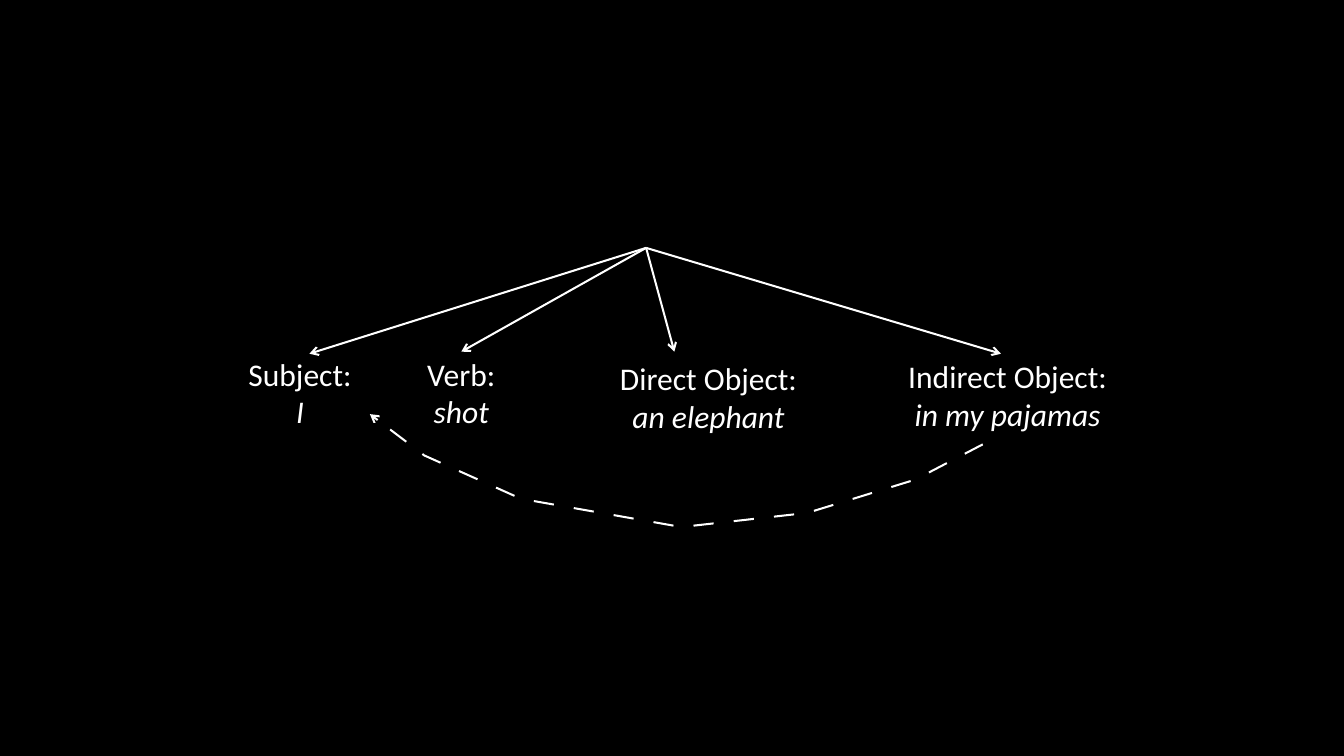
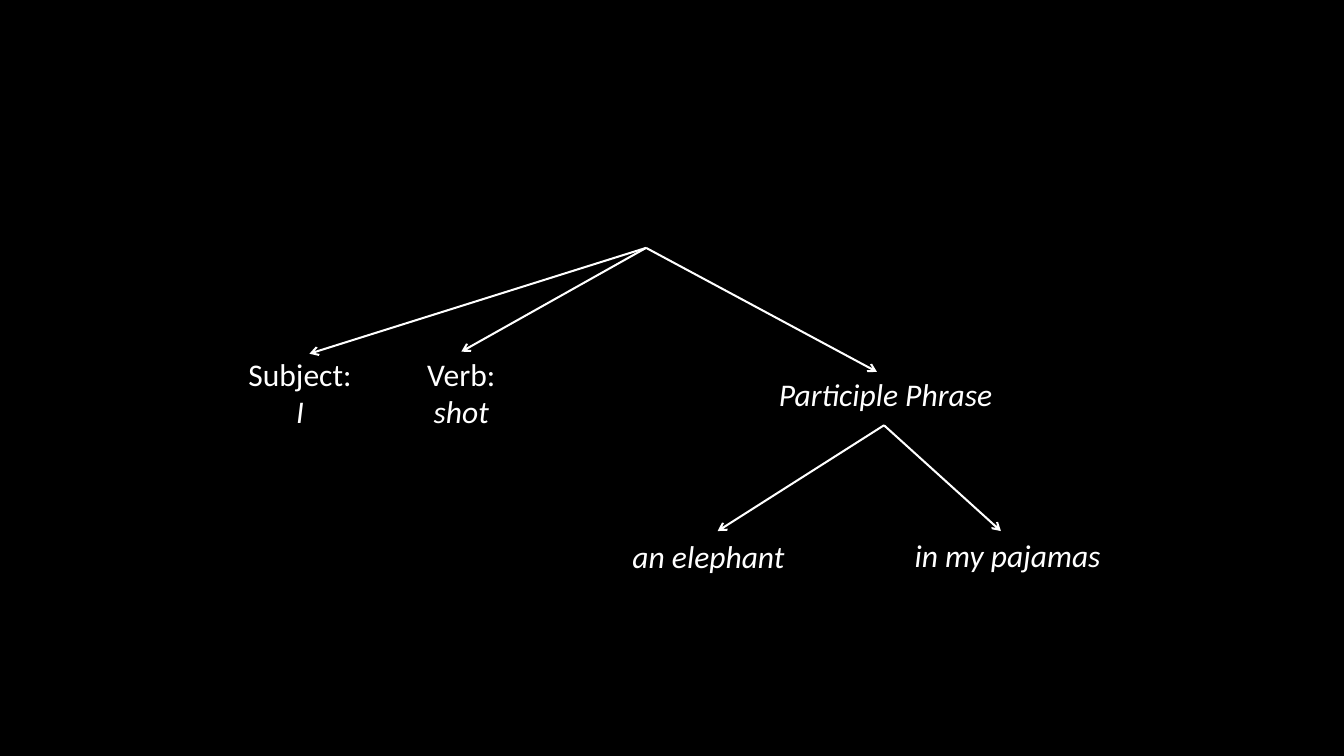
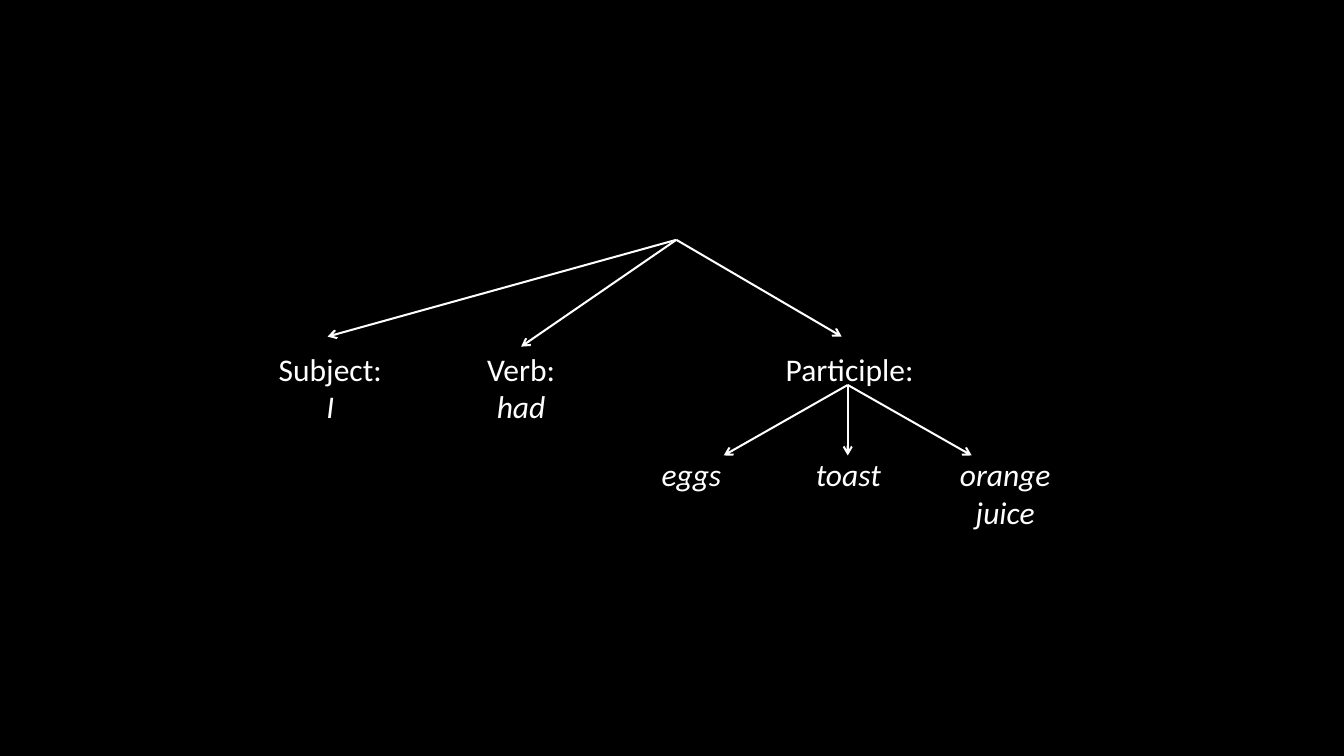
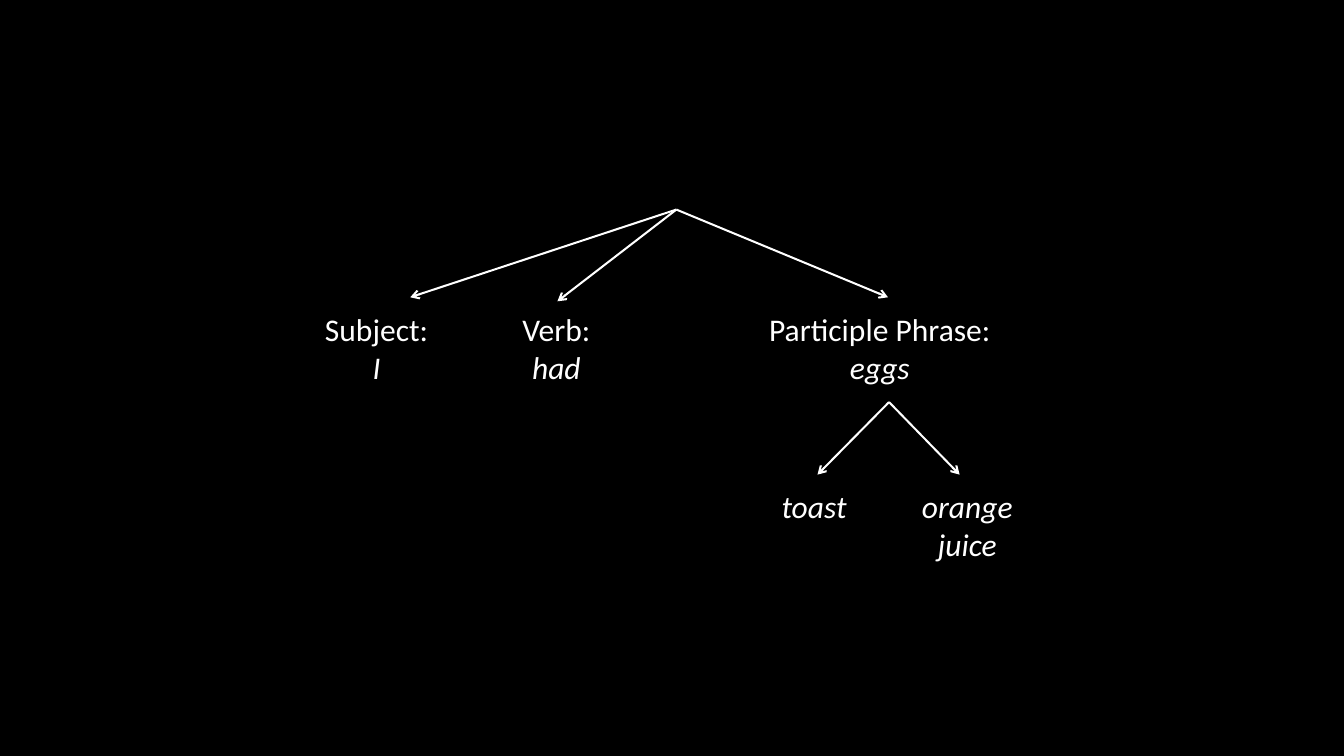
from pptx import Presentation
from pptx.dml.color import RGBColor
from pptx.enum.shapes import MSO_CONNECTOR
from pptx.enum.text import MSO_ANCHOR, PP_ALIGN
from pptx.oxml.ns import qn
from pptx.util import Inches, Pt
from lxml.etree import SubElement

BLACK = RGBColor(0x00, 0x00, 0x00)
WHITE = RGBColor(0xFF, 0xFF, 0xFF)
FONT = "Calibri"
TOP_SIDE = 0

# Page and shared background
deck = Presentation()
deck.slide_width, deck.slide_height = Inches(13.33), Inches(7.5)
background = deck.slide_master.background.fill
background.solid()
background.fore_color.rgb = BLACK
CELL = deck.slide_width / 40  # square grid: 40 columns, 22.5 rows


def add_label(shapes, text, *, centre, top, width, size=22.5, color=WHITE):
    """Add centred lines; those ending in a colon are upright, others italic."""
    lines = text.split("\n")
    height = 1.26 + 0.6 * len(lines)
    box = shapes.add_textbox(*(round(v * CELL) for v in (centre - width / 2, top, width, height)))
    frame = box.text_frame
    frame.word_wrap = True
    frame.vertical_anchor = MSO_ANCHOR.TOP
    frame.margin_left = frame.margin_right = Inches(0.07)
    frame.margin_top = frame.margin_bottom = Inches(0.03)
    for number, line in enumerate(lines):
        paragraph = frame.paragraphs[0] if number == 0 else frame.add_paragraph()
        paragraph.alignment = PP_ALIGN.CENTER
        run = paragraph.add_run()
        run.text = line
        run.font.name, run.font.size = FONT, Pt(size)
        run.font.italic = not line.endswith(":")
        run.font.color.rgb = color
    return box


def style_arrow(arrow, dashed=False):
    """Give a white line with an open arrowhead and no shadow."""
    arrow.line.color.rgb = WHITE
    arrow.line.width = Pt(1.45)
    outline = arrow.line._get_or_add_ln()
    if dashed:
        dashes = SubElement(outline, qn("a:custDash"))
        SubElement(dashes, qn("a:ds"), d="1000000", sp="1000000")
    SubElement(outline, qn("a:tailEnd"), type="arrow")
    SubElement(outline.getparent(), qn("a:effectLst"))


# Parts shared by the sentence trees
SHOT_ROOT = (19.23, 7.38)
SHOT_LABELS = [("Subject:\nI", 8.93, 10.47, 5.73), ("Verb:\nshot", 13.73, 10.47, 3.15)]
SHOT_TIPS = [(9.21, 10.53), "Verb:\nshot"]
ITEM_WIDTH = 4.77
ITEM_STEP = 4.67
TOAST_CENTRE = 25.25

# Each tree: labels (text, centre, top, width) and fans (start, tips);
# a tip is a grid point, or the text of the label it is joined to
trees = [
    dict(
        labels=SHOT_LABELS + [
            ("Direct Object:\nan elephant", 21.09, 10.59, 7.92),
            ("Indirect Object:\nin my pajamas", 29.99, 10.53, 7.77),
        ],
        fans=[(SHOT_ROOT, SHOT_TIPS + [(20.07, 10.47), (29.79, 10.53)])],
        back_reference=[
            (29.25, 13.23), (27.24, 14.28), (24.03, 15.27), (20.28, 15.69),
            (15.51, 14.85), (12.63, 13.56), (11.01, 12.33),
        ],
    ),
    dict(
        labels=SHOT_LABELS + [
            ("an elephant", 21.09, 15.9, 7.92),
            ("in my pajamas", 29.99, 15.87, 7.77),
            ("Participle Phrase", 26.36, 11.07, 13.17),
        ],
        fans=[
            (SHOT_ROOT, SHOT_TIPS + [(26.1, 11.07)]),
            ((26.31, 12.66), [(21.36, 15.81), (29.79, 15.81)]),
        ],
    ),
    dict(
        labels=[
            ("Subject:\nI", 9.83, 10.32, ITEM_WIDTH),
            ("Verb:\nhad", 15.51, 10.32, 4.92),
            ("Participle:", 25.29, 10.32, 6.78),
        ] + [
            (item, TOAST_CENTRE + place * ITEM_STEP, 13.47, ITEM_WIDTH)
            for place, item in enumerate(["eggs", "toast", "orange juice"], start=-1)
        ],
        fans=[
            ((20.13, 7.14), [(9.75, 10.02), "Verb:\nhad", (25.05, 10.02)]),
            ((25.23, 11.46), [(25.23 + shift, 13.56) for shift in (-3.69, 0, 3.69)]),
        ],
    ),
    dict(
        labels=[
            ("Subject:\nI", 11.21, 9.15, ITEM_WIDTH),
            ("Verb:\nhad", 16.56, 9.15, 4.92),
            ("Participle Phrase:\neggs", 26.19, 9.15, 9.48),
            ("toast", 24.23, 14.4, ITEM_WIDTH),
            ("orange juice", 28.79, 14.4, ITEM_WIDTH),
        ],
        fans=[
            ((20.13, 6.24), [(12.21, 8.85), (16.59, 8.97), (26.43, 8.85)]),
            ((26.46, 11.97), [(24.33, 14.13), (28.56, 14.13)]),
        ],
        grouped=True,
    ),
]

for tree in trees:
    slide = deck.slides.add_slide(deck.slide_layouts[6])
    shapes = slide.shapes
    if tree.get("grouped"):
        shapes = shapes.add_group_shape().shapes

    # Words and phrases
    label_boxes = {}
    for text, centre, top, width in tree["labels"]:
        label_boxes[text] = add_label(shapes, text, centre=centre, top=top, width=width)

    # Branches
    for start, tips in tree["fans"]:
        for tip in tips:
            joined = isinstance(tip, str)
            ends = start + (start if joined else tip)
            branch = shapes.add_connector(MSO_CONNECTOR.STRAIGHT, *(round(v * CELL) for v in ends))
            if joined:
                branch.end_connect(label_boxes[tip], TOP_SIDE)
            style_arrow(branch)

    # Dashed curve from the phrase back to the subject
    if "back_reference" in tree:
        points = [(round(x * CELL), round(y * CELL)) for x, y in tree["back_reference"]]
        builder = shapes.build_freeform(*points[0])
        builder.add_line_segments(points[1:], close=False)
        curve = builder.convert_to_shape()
        curve.fill.background()
        style_arrow(curve, dashed=True)

deck.save("out.pptx")
